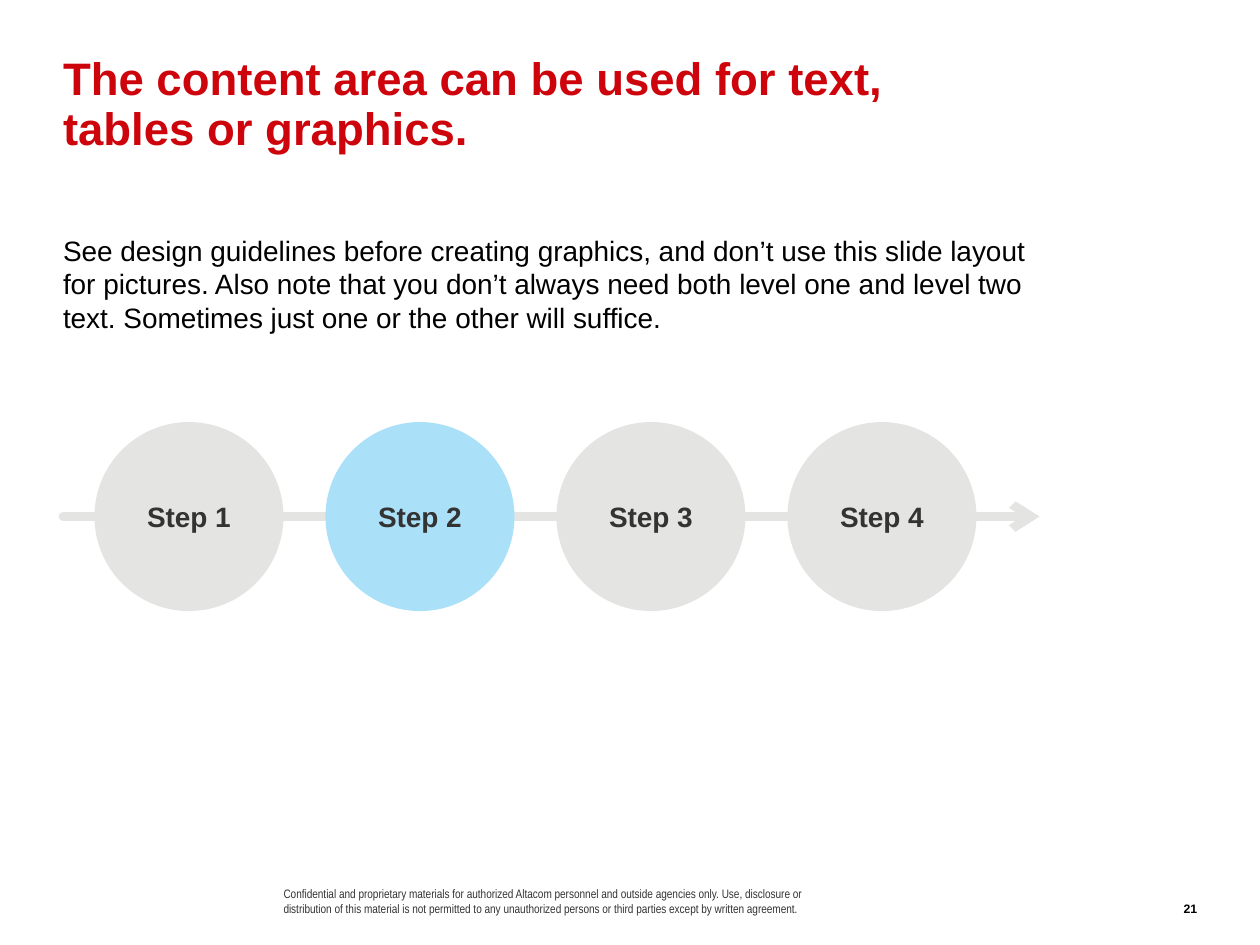
import dataclasses

import lxml.etree
import pptx
import pptx.dml.color
import pptx.enum.shapes
import pptx.enum.text
import pptx.oxml.ns
import pptx.util

Inches = pptx.util.Inches
Anchor = pptx.enum.text.MSO_ANCHOR
Align = pptx.enum.text.PP_ALIGN


@dataclasses.dataclass(frozen=True)
class Theme:
    red: str = "CD040B"
    black: str = "000000"
    charcoal: str = "333333"
    gray: str = "E4E5E3"
    blue: str = "ABE0F9"
    font: str = "Arial"
    narrow_font: str = "Arial Narrow"
    title_size: int = 26
    body_size: int = 16
    footer_size: int = 7
    arrow_width: int = 5


def rgb(color):
    return pptx.dml.color.RGBColor.from_string(color)


class SlideBuilder:
    def __init__(self, slide, theme):
        self.slide = slide
        self.theme = theme

    def set_text(self, shape, text, size, color, bold=False, font=None,
                 align=Align.LEFT, anchor=Anchor.TOP, margins=(0, 0, 0, 0)):
        frame = shape.text_frame
        frame.word_wrap = True
        frame.vertical_anchor = anchor
        (frame.margin_left, frame.margin_top,
         frame.margin_right, frame.margin_bottom) = map(Inches, margins)
        para = frame.paragraphs[0]
        para.text = text
        para.alignment = align
        para.font.name = font or self.theme.font
        para.font.size = pptx.util.Pt(size)
        para.font.bold = bold
        para.font.color.rgb = rgb(color)
        return para

    def text(self, left, top, width, height, text, size, color, **style):
        box = self.slide.shapes.add_textbox(
            Inches(left), Inches(top), Inches(width), Inches(height))
        return self.set_text(box, text, size, color, **style)

    def arrow(self, left, right, y):
        connector = self.slide.shapes.add_connector(
            pptx.enum.shapes.MSO_CONNECTOR.STRAIGHT,
            Inches(left), Inches(y), Inches(right), Inches(y))
        connector.line.color.rgb = rgb(self.theme.gray)
        connector.line.width = pptx.util.Pt(self.theme.arrow_width)
        qn = pptx.oxml.ns.qn
        properties = connector._element.spPr
        line = properties.find(qn("a:ln"))
        line.set("cap", "rnd")
        lxml.etree.SubElement(line, qn("a:tailEnd"), type="arrow")
        lxml.etree.SubElement(properties, qn("a:effectLst"))

    def circle(self, left, top, diameter, label, fill):
        shape = self.slide.shapes.add_shape(
            pptx.enum.shapes.MSO_SHAPE.OVAL,
            Inches(left), Inches(top), Inches(diameter), Inches(diameter))
        shape.shadow.inherit = False
        shape.fill.solid()
        shape.fill.fore_color.rgb = rgb(fill)
        shape.line.fill.background()
        self.set_text(shape, label, self.theme.body_size, self.theme.charcoal,
                      bold=True, align=Align.CENTER, anchor=Anchor.MIDDLE,
                      margins=(0.1, 0.1, 0.1, 0.1))


def main():
    theme = Theme()
    deck = pptx.Presentation()
    deck.slide_width = Inches(10)
    deck.slide_height = Inches(7.5)
    page = SlideBuilder(deck.slides.add_slide(deck.slide_layouts[6]), theme)

    margin, content_width = 0.5, 7.75
    title = page.text(
        margin, 0.45, content_width, 1,
        "The content area can be used for text, \vtables or graphics.",
        theme.title_size, theme.red, bold=True)
    title.line_spacing = 0.9

    body = page.text(
        margin, 1.85, content_width, 4.9,
        "See design guidelines before creating graphics, and don’t use this "
        "slide layout for pictures. Also note that you don’t always need both "
        "level one and level two text. Sometimes just one or the other will "
        "suffice.",
        theme.body_size, theme.black)
    body.space_before = pptx.util.Pt(9)

    center_y, diameter = 4.1, 1.5
    first_left, last_left = 0.75, 6.25
    steps = ["Step 1", "Step 2", "Step 3", "Step 4"]
    current_step = "Step 2"
    pitch = (last_left - first_left) / (len(steps) - 1)
    page.arrow(margin, margin + content_width, center_y)
    for index, step in enumerate(steps):
        fill = theme.blue if step == current_step else theme.gray
        page.circle(first_left + index * pitch, center_y - diameter / 2,
                    diameter, step, fill)

    footer_top, footer_height = 7.02, 0.25
    page.text(
        2.25, footer_top, 4.42, footer_height,
        "Confidential and proprietary materials for authorized Altacom "
        "personnel and outside agencies only. Use, disclosure or distribution "
        "of this material is not permitted to any unauthorized persons or "
        "third parties except by written agreement.",
        theme.footer_size, theme.charcoal, font=theme.narrow_font,
        anchor=Anchor.BOTTOM, margins=(0, 0, 0.2, 0))
    page.text(9.25, footer_top, 0.25, footer_height, "21",
              theme.footer_size, theme.black, bold=True,
              align=Align.RIGHT, anchor=Anchor.BOTTOM)

    deck.save("out.pptx")


if __name__ == "__main__":
    main()
